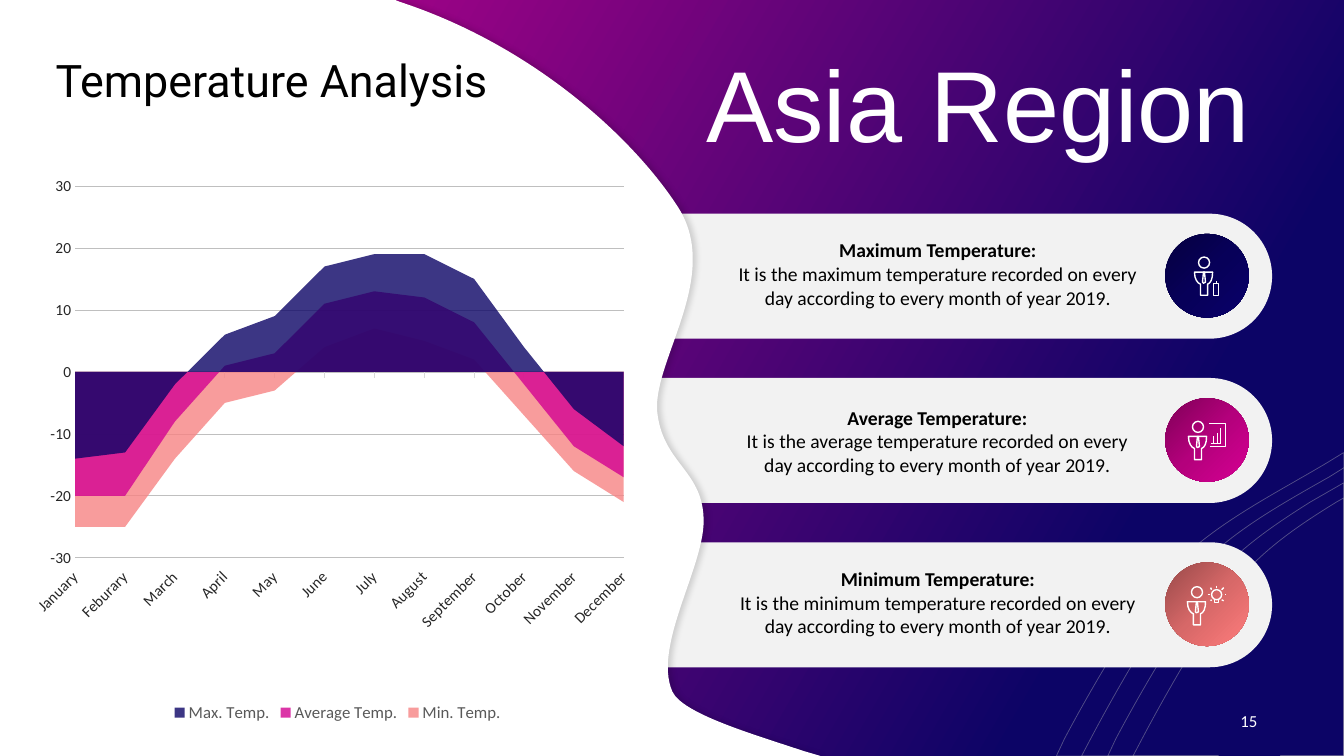
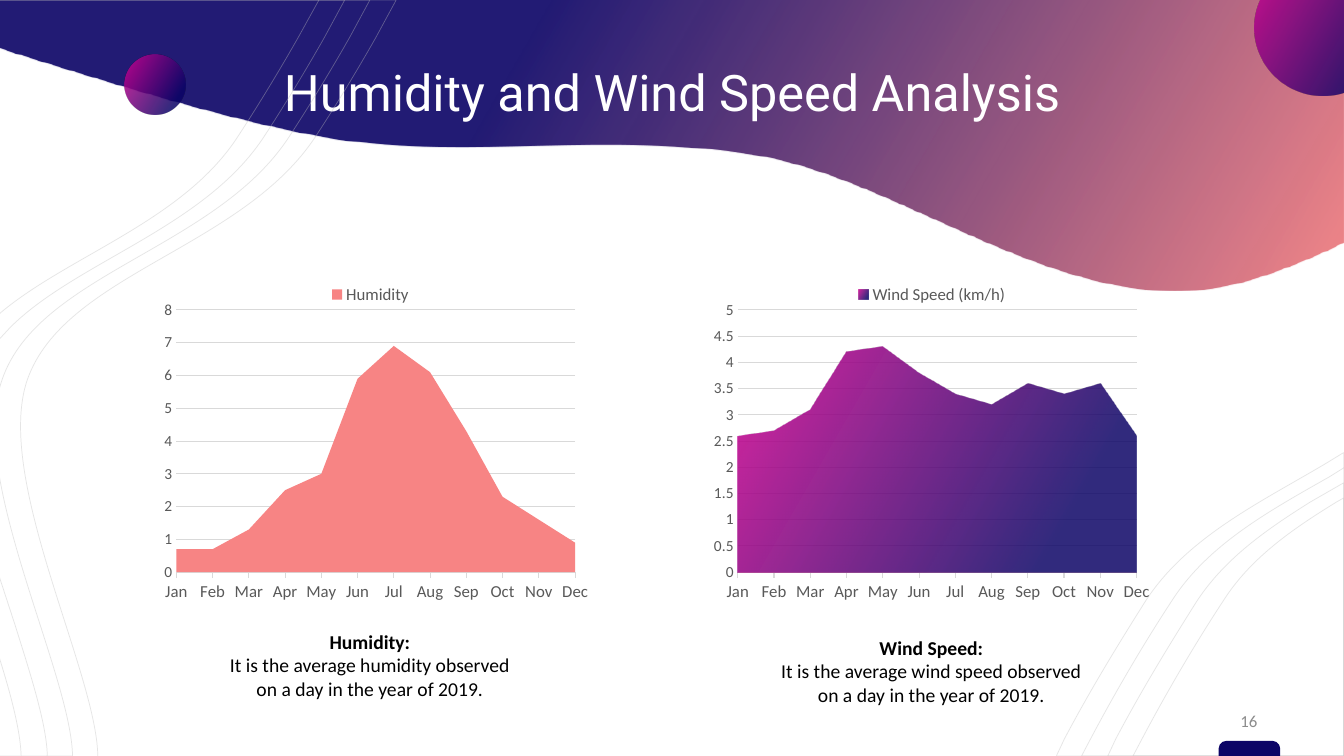
import dataclasses
import typing

import lxml.etree
import pptx
import pptx.chart.data
import pptx.dml.color
import pptx.enum.chart
import pptx.enum.shapes
import pptx.enum.text
import pptx.oxml.ns
import pptx.util

# Shared look: a grid of one-inch cells, colours, fonts
COLUMNS, ROWS = 40 / 3, 7.5
CELL = pptx.util.Inches(1)
COLOURS = {
    "navy": "0C0466", "magenta": "D30392", "coral": "F78484", "white": "FFFFFF",
    "black": "000000", "band": "F2F2F2", "curve": "BFBFBF", "axis": "D9D9D9",
    "label": "595959", "dark label": "262626", "number": "8C8C8C",
    "navy 1": "05003F", "navy 2": "070059", "navy 3": "09006A",
    "pink 1": "7F0057", "pink 2": "B4007C", "pink 3": "D60093",
    "rose 1": "974949", "rose 2": "D76868", "rose 3": "FF7C7C",
}
SHAPES = pptx.enum.shapes.MSO_SHAPE
CHARTS = pptx.enum.chart
qn = pptx.oxml.ns.qn


class Box(typing.NamedTuple):
    left: float
    top: float
    width: float
    height: float

    def emu(self) -> list[int]:
        return [cells(value) for value in self]


@dataclasses.dataclass(frozen=True)
class Paint:
    """Stops of position, colour and opacity in percent; one stop is solid."""
    stops: tuple[tuple[int, str, int], ...]
    angle: int = 0


@dataclasses.dataclass(frozen=True)
class Pen:
    colour: str
    width: float
    opacity: int = 100


@dataclasses.dataclass(frozen=True)
class Feature:
    text_box: Box
    name: str
    paint: Paint
    person: tuple[float, float]
    outlines: tuple[str, ...]
    lines: tuple[tuple[float, float, float, float], ...]
    rings: tuple[Box, ...] = ()


@dataclasses.dataclass(frozen=True)
class AreaChart:
    """The plot box is in percent of the chart."""
    box: Box
    categories: str
    series: tuple[tuple[str, tuple[float | None, ...], Paint], ...]
    plot: Box
    scale: tuple[float, float, float]
    legend: CHARTS.XL_LEGEND_POSITION
    label_colour: str
    label_size: int
    grid: Pen
    rotation: int = 0


def solid(colour: str, opacity: int = 100) -> Paint:
    return Paint(((0, colour, opacity),))


def blend(first: str, middle: str, last: str) -> Paint:
    return Paint(((0, first, 100), (50, middle, 100), (100, last, 100)), 45)


NIGHT = Paint(((0, "magenta", 86), (81, "navy", 84)), 30)
SUNSET = Paint(((36, "navy", 90), (100, "coral", 95)), 30)
CURVE_PEN, ICON_PEN = Pen("curve", 0.5, 40), Pen("white", 1)


# Drawing helpers
def cells(value: float) -> int:
    return round(value * CELL)


def rgb(name: str) -> pptx.dml.color.RGBColor:
    return pptx.dml.color.RGBColor.from_string(COLOURS[name])


def add_tag(parent, tag: str, **values):
    return lxml.etree.SubElement(parent, qn(tag), {key: str(value) for key, value in values.items()})


def assign(target, formats: dict) -> None:
    for name, value in formats.items():
        setattr(target, name, value)


def apply_paint(fill, owner, paint: Paint | None) -> None:
    if paint is None:
        fill.background()
    elif len(paint.stops) == 1:
        _, colour, opacity = paint.stops[0]
        fill.solid()
        fill.fore_color.rgb = rgb(colour)
        if opacity < 100:
            add_tag(next(owner.iter(qn("a:srgbClr"))), "a:alpha", val=opacity * 1000)
    else:
        fill.gradient()
        gradient = next(owner.iter(qn("a:gradFill")))
        stop_list = gradient.find(qn("a:gsLst"))
        for old in list(stop_list):
            stop_list.remove(old)
        for position, colour, opacity in paint.stops:
            stop = add_tag(stop_list, "a:gs", pos=position * 1000)
            add_tag(add_tag(stop, "a:srgbClr", val=COLOURS[colour]), "a:alpha", val=opacity * 1000)
        gradient.find(qn("a:lin")).set("ang", str(paint.angle * 60000))


def apply_pen(line, pen: Pen | None, owner=None) -> None:
    if pen is None:
        line.fill.background()
        return
    line.color.rgb = rgb(pen.colour)
    line.width = pptx.util.Pt(pen.width)
    if pen.opacity < 100:
        colour = next(next(owner.iter(qn("a:ln"))).iter(qn("a:srgbClr")))
        add_tag(colour, "a:alpha", val=pen.opacity * 1000)


def finish(shape, paint: Paint | None, pen: Pen | None):
    shape.shadow.inherit = False
    apply_paint(shape.fill, shape.element, paint)
    apply_pen(shape.line, pen, shape.element)
    return shape


def draw_shape(page, kind, box: Box, paint: Paint | None = None, pen: Pen | None = None):
    return finish(page.shapes.add_shape(kind, *box.emu()), paint, pen)


def draw_outline(page, outline: str, paint=None, pen=None, origin=(0, 0)):
    """Draw M, L, C and Z commands; each C curve takes three points."""
    builder, command, kinds = None, "M", []
    for token in outline.split():
        if token == "Z":
            builder.add_line_segments([], close=True)
        elif token in ("M", "L", "C"):
            command = token
        else:
            spot = [cells(float(part) + shift) for part, shift in zip(token.split(","), origin)]
            if builder is None:
                builder = page.shapes.build_freeform(*spot, scale=1.0)
            elif command == "M":
                builder.move_to(*spot)
            else:
                builder.add_line_segments([spot], close=False)
                kinds.append(command)
    shape = builder.convert_to_shape()
    steps = list(shape.element.iter(qn("a:lnTo")))
    curved = [step for step, kind in zip(steps, kinds) if kind == "C"]
    for first in range(0, len(curved), 3):
        curve = lxml.etree.Element(qn("a:cubicBezTo"))
        curved[first].addprevious(curve)
        for step in curved[first:first + 3]:
            curve.append(step[0])
            step.getparent().remove(step)
    return finish(shape, paint, pen)


def draw_line(page, ends: tuple[float, float, float, float]) -> None:
    line = page.shapes.add_connector(pptx.enum.shapes.MSO_CONNECTOR.STRAIGHT, *map(cells, ends))
    apply_pen(line.line, ICON_PEN)
    add_tag(line.element.spPr, "a:effectLst")


def write(frame, lines: list[str], size: int, font: str, colour: str, spacing=None, bold_first=False) -> None:
    assign(frame, {"word_wrap": True, "vertical_anchor": pptx.enum.text.MSO_ANCHOR.MIDDLE})
    for index, text in enumerate(lines):
        para = frame.paragraphs[0] if index == 0 else frame.add_paragraph()
        assign(para, {"alignment": pptx.enum.text.PP_ALIGN.CENTER, "line_spacing": spacing})
        span = para.add_run()
        span.text = text
        assign(span.font, {"size": pptx.util.Pt(size), "name": font, "bold": bold_first and index == 0})
        span.font.color.rgb = rgb(colour)


def draw_text(page, box: Box, lines: list[str], **style) -> None:
    write(page.shapes.add_textbox(*box.emu()).text_frame, lines, **style)


def draw_description(page, box: Box, lines: list[str]) -> None:
    frame = page.shapes.add_textbox(*box.emu()).text_frame
    write(frame, lines, 14, "Calibri", "black", bold_first=True)
    assign(frame, dict.fromkeys(("margin_left", "margin_top", "margin_right", "margin_bottom"), 0))
    frame.auto_size = pptx.enum.text.MSO_AUTO_SIZE.SHAPE_TO_FIT_TEXT


def draw_title(page, box: Box, text: str, size: int, colour: str) -> None:
    title = page.shapes.title
    title.element.getparent().append(title.element)  # bring to front
    assign(title, dict(zip(("left", "top", "width", "height"), box.emu())))
    write(title.text_frame, [text], size, "Roboto", colour, 0.9)


def draw_footer(page, number: str, colour: str) -> None:
    tab = draw_shape(page, SHAPES.ROUND_2_SAME_RECTANGLE, Box(12.09, 7.35, 0.61, 0.15), solid("navy"))
    tab.adjustments[0] = 0.5
    draw_text(page, Box(12.16, 6.95, 0.46, 0.4), [number], size=12, font="Calibri", colour=colour)


def style_font(font, size: int, colour: str) -> None:
    assign(font, {"size": pptx.util.Pt(size), "name": "Calibri"})
    font.color.rgb = rgb(colour)


def draw_chart(page, plan: AreaChart) -> None:
    data = pptx.chart.data.CategoryChartData()
    data.categories = plan.categories.split()
    for name, values, _ in plan.series:
        data.add_series(name, values)
    chart = page.shapes.add_chart(CHARTS.XL_CHART_TYPE.AREA, *plan.box.emu(), data).chart
    style_font(chart.font, 10, "black")
    assign(chart, {"has_title": False, "has_legend": True})
    assign(chart.legend, {"position": plan.legend, "include_in_layout": False})
    style_font(chart.legend.font, 12, "label")
    chart.plots[0].vary_by_categories = False
    for index, (series, (_, values, paint)) in enumerate(zip(chart.plots[0].series, plan.series)):
        apply_paint(series.format.fill, series._element, paint)
        series.format.line.fill.background()
        if values == BLANK:  # an empty series has no legend entry
            entry = lxml.etree.Element(qn("c:legendEntry"))
            add_tag(entry, "c:idx", val=index)
            add_tag(entry, "c:delete", val=1)
            next(chart._chartSpace.iter(qn("c:legendPos"))).addnext(entry)

    # Axes
    marks = CHARTS.XL_TICK_MARK
    across, upright = chart.category_axis, chart.value_axis
    assign(across, {"major_tick_mark": marks.OUTSIDE, "has_major_gridlines": False,
                    "tick_label_position": CHARTS.XL_TICK_LABEL_POSITION.LOW})
    assign(upright, {"major_tick_mark": marks.NONE, "has_major_gridlines": True,
                     **dict(zip(("minimum_scale", "maximum_scale", "major_unit"), plan.scale))})
    style_font(across.tick_labels.font, plan.label_size, plan.label_colour)
    style_font(upright.tick_labels.font, 11, plan.label_colour)
    apply_pen(across.format.line, Pen("axis", 0.75))
    apply_pen(upright.format.line, None)
    apply_pen(upright.major_gridlines.format.line, plan.grid)
    if plan.rotation:
        next(across._element.iter(qn("a:bodyPr"))).set("rot", str(plan.rotation * 60000))
    for crossing in upright._element.iter(qn("c:crossBetween")):
        crossing.set("val", "midCat")

    # Plot area
    area = next(chart._chartSpace.iter(qn("c:plotArea")))
    for old in area.findall(qn("c:layout")):
        area.remove(old)
    layout = add_tag(area, "c:layout")
    area.insert(0, layout)
    manual = add_tag(layout, "c:manualLayout")
    shares = [round(percent / 100, 3) for percent in plan.plot]
    for tag, value in (("layoutTarget", "inner"), ("xMode", "edge"), ("yMode", "edge"), *zip("xywh", shares)):
        add_tag(manual, f"c:{tag}", val=value)


# Content
CORNER_CURVES = (
    "M 13.33,4.79 L 13.33,7.5 10.99,7.5 11.07,7.33 C 11.35,6.8 11.65,6.32 11.87,5.97 12.15,5.54 12.57,5.25 13,4.98 Z",
    "M 13.33,4.94 L 13.33,7.5 11.24,7.5 11.33,7.33 C 11.61,6.8 11.9,6.32 12.13,5.97 12.4,5.54 12.82,5.25 13.26,4.98 Z",
    "M 13.33,4.49 L 13.33,7.5 10.48,7.5 10.56,7.33 C 10.84,6.8 11.14,6.32 11.36,5.97 11.77,5.33 12.51,4.98 13.15,4.6 Z",
    "M 13.35,4.63 L 13.35,7.5 10.73,7.5 10.82,7.33 C 11.1,6.8 11.39,6.32 11.62,5.97 11.98,5.4 12.61,5.06 13.19,4.73 Z",
)
SIDE_CURVES = (
    "M -0.02,5.68 L 0.15,6.2 C 0.31,6.71 0.46,7.18 0.47,7.49 L 0.46,7.52 -0.02,7.52 Z M -0.02,0 L 3.42,0 3.22,0.37 "
    "C 3.01,0.74 2.8,1.08 2.63,1.34 2.04,2.26 0.76,2.59 0.1,3.25 L -0.02,3.38 Z",
    "M -0.03,6.44 L -0.03,6.45 C 0.1,6.86 0.2,7.23 0.21,7.49 L 0.21,7.52 -0.03,7.52 Z M -0.03,-0.01 L 3.17,-0.01 "
    "2.96,0.37 C 2.75,0.74 2.54,1.08 2.37,1.34 1.83,2.19 0.69,2.53 0.01,3.1 L -0.03,3.14 Z",
    "M -0.02,0 L 3.93,0 3.73,0.37 C 3.52,0.74 3.31,1.08 3.14,1.34 2.41,2.47 0.64,2.71 0.27,3.77 "
    "-0.06,4.74 0.95,6.65 0.97,7.49 L 0.97,7.52 -0.02,7.52 Z",
    "M -0.03,4.49 L -0.02,4.64 C 0.13,5.63 0.7,6.86 0.72,7.49 L 0.72,7.5 -0.03,7.5 Z M -0.03,0 L 3.67,0 3.47,0.37 "
    "C 3.26,0.74 3.05,1.08 2.88,1.34 2.16,2.47 0.38,2.71 0.02,3.77 0,3.83 -0.02,3.9 -0.03,3.96 L -0.03,3.99 Z",
)
LEFT_WAVE = ("M 0,0 L 3.92,0 3.97,0.02 C 5.31,0.46 6.3,1.39 6.73,2.06 7.16,2.74 6.48,3.57 6.52,4.08 "
             "6.57,4.59 6.96,4.66 6.98,5.13 7.01,5.59 6.47,6.4 6.67,6.86 6.77,7.08 7.46,7.28 7.97,7.45 "
             "L 8.14,7.5 0,7.5 Z")
TOP_WAVE = ("M 0,0 L 13.33,0 13.33,2.4 13.19,2.47 C 12.81,2.64 12.47,2.77 12.17,2.83 10.57,3.17 8.97,1.78 7.5,1.54 "
            "6.03,1.3 4.67,1.58 3.33,1.38 2.33,1.22 1.02,0.8 0.15,0.53 L 0,0.48 Z")
PERSON = ("M 0.18,0 C 0,0 0,0 0,0 0,0.07 0.03,0.11 0.06,0.12 0.06,0.23 0.06,0.23 0.06,0.23 0.13,0.23 0.13,0.23 "
          "0.13,0.23 0.13,0.12 0.13,0.12 0.13,0.12 0.16,0.11 0.18,0.07 0.18,0 Z",
          "M 0.1,0 L 0.09,0 0.08,0.1 0.09,0.11 0.11,0.1 0.1,0 Z")
FEATURES = (
    Feature(Box(7.25, 2.36, 4.11, 0.71), "Maximum", blend("navy 1", "navy 2", "navy 3"), (11.85, 2.7),
            ("M 12.07,2.81 L 12.09,2.81 12.09,2.93 12.04,2.93 12.04,2.81 Z",), ((12.07, 2.81, 12.07, 2.79),)),
    Feature(Box(7.26, 4.02, 4.08, 0.71), "Average", blend("pink 1", "pink 2", "pink 3"), (11.79, 4.33),
            ("M 12,4.43 L 12.16,4.43 12.16,4.2 11.99,4.2",),
            ((12.01, 4.4, 12.11, 4.4), *((x, 4.4, x, y) for x, y in ((12.04, 4.33), (12.08, 4.3), (12.11, 4.25))))),
    Feature(Box(7.25, 5.62, 4.11, 0.71), "Minimum", blend("rose 1", "rose 2", "rose 3"), (11.78, 5.97),
            ("M 12.09,5.94 L 12.09,5.98 12.05,5.98 12.05,5.94",),
            ((12.07, 5.81, 12.07, 5.83), (12.14, 5.83, 12.12, 5.85), (12.16, 5.9, 12.15, 5.9),
             (12.14, 5.96, 12.12, 5.95), (12.01, 5.96, 12.02, 5.95), (11.98, 5.9, 12, 5.9),
             (12.01, 5.83, 12.02, 5.85)), (Box(12.02, 5.85, 0.1, 0.1),)),
)
BLANK = (None,) * 12
TEMPERATURES = AreaChart(
    Box(0.19, 1.61, 6.32, 5.6),
    "January Feburary March April May June July August September October November December",
    (("Max. Temp.", (-14, -13, -2, 6, 9, 17, 19, 19, 15, 4, -6, -12), solid("navy", 80)),
     ("Average Temp.", (-20, -20, -8, 1, 3, 11, 13, 12, 8, -2, -12, -17), solid("magenta", 80)),
     ("Min. Temp.", (-25, -25, -14, -5, -3, 4, 7, 5, 2, -7, -16, -21), solid("coral", 80))),
    Box(8.8, 4.2, 86.1, 65.9), (-30, 30, 10), CHARTS.XL_LEGEND_POSITION.BOTTOM,
    "dark label", 11, Pen("curve", 0.5), -45)
HUMIDITY = AreaChart(
    Box(1.28, 2.71, 4.79, 3.38), "Jan Feb Mar Apr May Jun Jul Aug Sep Oct Nov Dec",
    (("Humidity", (0.7, 0.7, 1.3, 2.5, 3, 5.9, 6.9, 6.1, 4.3, 2.3, 1.6, 0.9), solid("coral")),
     ("Series 2", BLANK, NIGHT)),
    Box(9.8, 10.8, 82.6, 77), (0, 8, 1), CHARTS.XL_LEGEND_POSITION.TOP, "label", 12, Pen("axis", 0.75))
WIND = dataclasses.replace(
    HUMIDITY, box=HUMIDITY.box._replace(left=6.85), scale=(0, 5, 0.5),
    series=(("Series 1", BLANK, solid("coral")),
            ("Wind Speed (km/h)", (2.6, 2.7, 3.1, 4.2, 4.3, 3.8, 3.4, 3.2, 3.6, 3.4, 3.6, 2.6), NIGHT)))


# Slides
def draw_curves(page, outlines: tuple[str, ...]) -> None:
    for outline in outlines:
        draw_outline(page, outline, pen=CURVE_PEN)


def draw_feature(page, feature: Feature, top: float) -> None:
    band = draw_shape(page, SHAPES.ROUNDED_RECTANGLE, Box(5.9, top, 6.72, 1.24), solid("band"))
    band.adjustments[0] = 0.5
    draw_shape(page, SHAPES.OVAL, Box(11.56, top + 0.2, 0.83, 0.83), feature.paint)
    left, chest = feature.person
    for ring in (Box(left + 0.04, chest - 0.15, 0.11, 0.11), *feature.rings):
        draw_shape(page, SHAPES.OVAL, ring, pen=ICON_PEN)
    for outline in PERSON:
        draw_outline(page, outline, pen=ICON_PEN, origin=feature.person)
    for outline in feature.outlines:
        draw_outline(page, outline, pen=ICON_PEN)
    for ends in feature.lines:
        draw_line(page, ends)
    draw_description(page, feature.text_box, [
        f"{feature.name} Temperature:",
        f"It is the {feature.name.lower()} temperature recorded on every day according to every month of year 2019."])


def build_temperature(page) -> None:
    apply_paint(page.background.fill, page.element, NIGHT)
    draw_curves(page, CORNER_CURVES)
    for index, feature in enumerate(FEATURES):
        draw_feature(page, feature, 2.12 + 1.63 * index)
    wave = draw_outline(page, LEFT_WAVE, solid("white"))
    shadow = add_tag(wave.element.spPr.find(qn("a:effectLst")), "a:outerShdw",
                     blurRad=pptx.util.Pt(4), dist=pptx.util.Pt(3), dir=0, algn="l", rotWithShape=0)
    add_tag(add_tag(shadow, "a:srgbClr", val=COLOURS["black"]), "a:alpha", val=15000)
    draw_title(page, Box(0.24, 0.36, 4.91, 0.93), "Temperature Analysis", 32, "black")
    draw_chart(page, TEMPERATURES)
    draw_footer(page, "15", "white")
    draw_text(page, Box(6.67, 0.62, 6.07, 0.93), ["Asia Region"], size=72, font="Arial", colour="white", spacing=0.9)


def build_humidity(page) -> None:
    draw_curves(page, CORNER_CURVES)
    draw_outline(page, TOP_WAVE, SUNSET)
    draw_title(page, Box(0.71, 0.48, 11.92, 0.93), "Humidity and Wind Speed Analysis", 36, "white")
    draw_footer(page, "16", "number")
    for ball in (Box(12.45, -0.4, 1.35, 1.35), Box(1.24, 0.54, 0.6, 0.6)):
        draw_shape(page, SHAPES.OVAL, ball, NIGHT)
    for plan, name, left, top in ((HUMIDITY, "Humidity", 1.46, 6.24), (WIND, "Wind Speed", 7.03, 6.3)):
        draw_chart(page, plan)
        draw_description(page, Box(left, top, 4.42, 0.71), [
            f"{name}:", f"It is the average {name.lower()} observed", "on a day in the year of 2019."])
    draw_curves(page, SIDE_CURVES)


def main() -> None:
    deck = pptx.Presentation()
    assign(deck, {"slide_width": cells(COLUMNS), "slide_height": cells(ROWS)})
    for build in (build_temperature, build_humidity):
        build(deck.slides.add_slide(deck.slide_layouts[5]))
    deck.save("out.pptx")


if __name__ == "__main__":
    main()
